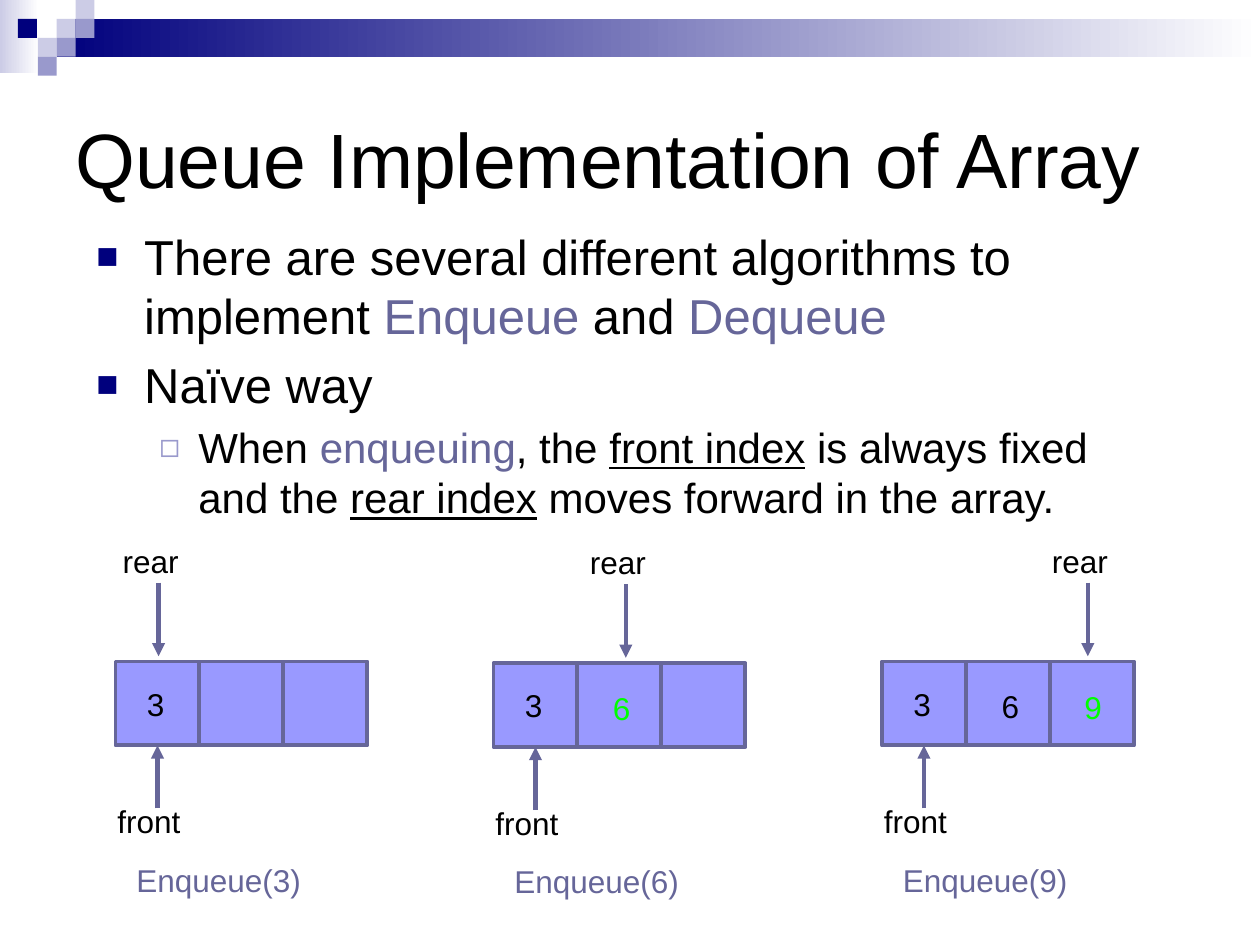
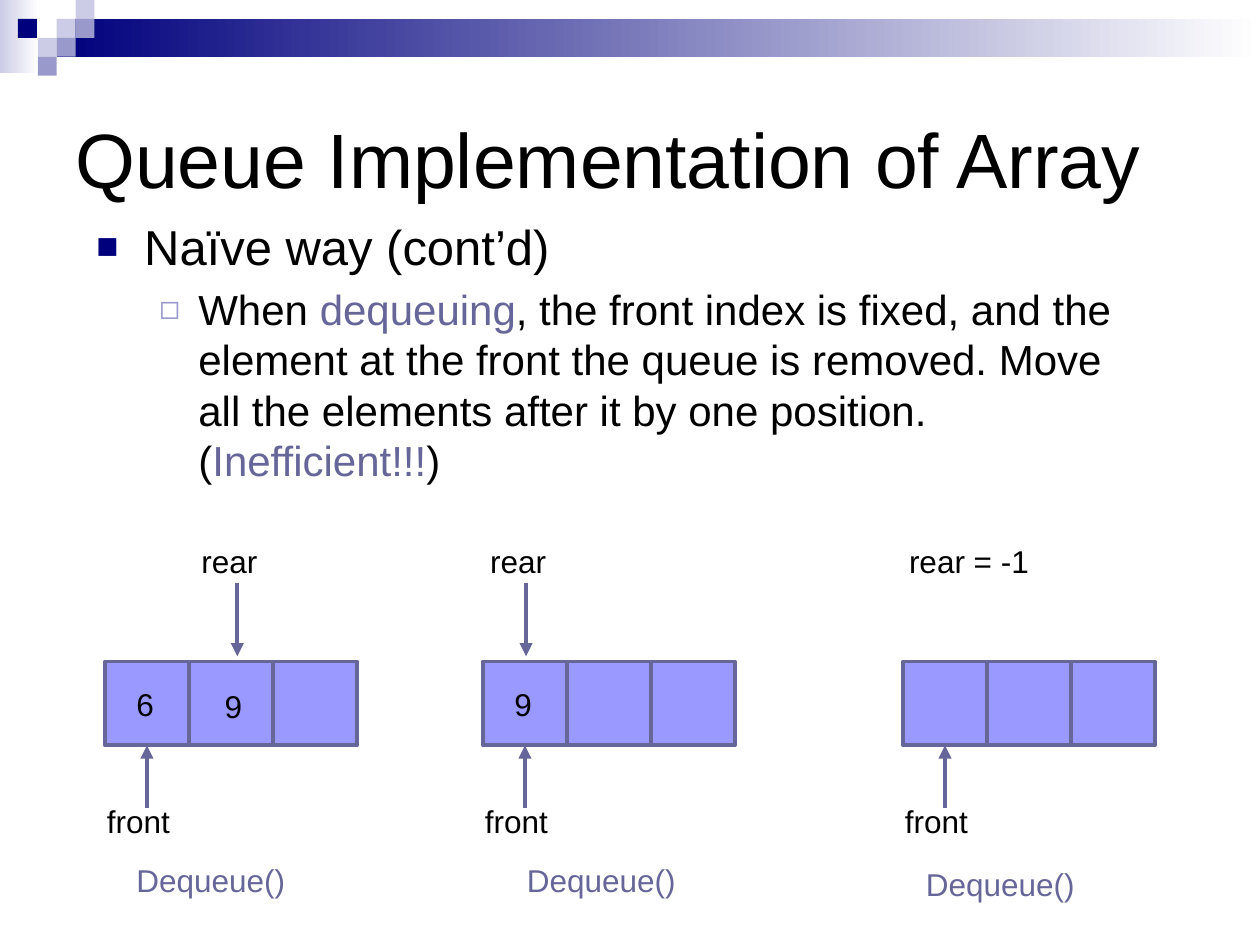
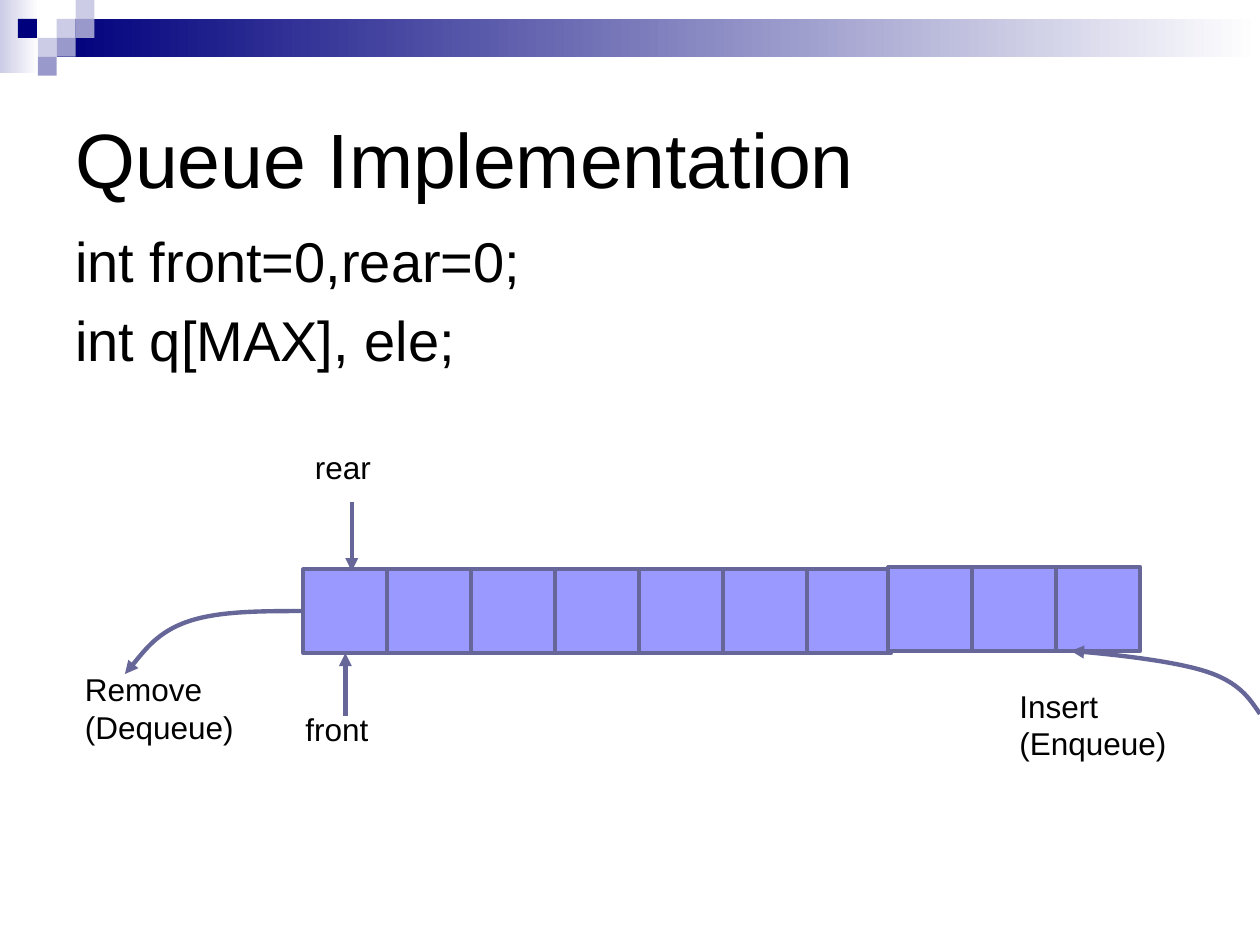
from dataclasses import dataclass

from lxml.etree import SubElement
from pptx import Presentation
from pptx.dml.color import RGBColor
from pptx.enum.shapes import MSO_CONNECTOR, MSO_SHAPE
from pptx.enum.text import MSO_ANCHOR
from pptx.oxml.ns import qn
from pptx.util import Emu, Inches, Pt

RECTANGLE = MSO_SHAPE.RECTANGLE
STRAIGHT = MSO_CONNECTOR.STRAIGHT
TOP, MIDDLE = MSO_ANCHOR.TOP, MSO_ANCHOR.MIDDLE
BOTTOM_SIDE = 2

# The slide is a grid of 120 columns by 90 rows; all lengths are in its units.
COLUMNS, ROWS = 120, 90
UNIT = Inches(10) / COLUMNS
CELL = 8
TILE = 1.8
LABEL_HEIGHT = 5.2

# Offsets by array column, from the left end of the array
DIGIT_OFFSETS = ((1.8, 1.6), (10.2, 1.85), (18.1, 1.9))
REAR_OFFSETS = (4.1, 12.6, 19.6)


@dataclass(frozen=True)
class Theme:
    font: str = "Arial"
    text: str = "000000"
    accent: str = "666699"
    fresh: str = "00FF00"
    cell: str = "9999FF"
    navy: str = "00007D"
    lilac: str = "9999CC"
    pale: str = "CCCCE6"
    white: str = "FFFFFF"
    title_size: int = 44
    code_size: int = 32
    point_size: int = 28
    detail_size: int = 24
    label_size: int = 18
    cell_line: float = 2.25
    arrow_line: float = 2.5


THEME = Theme()


def grid(*lengths):
    return [Emu(round(length * UNIT)) for length in lengths]


def rgb(color):
    return RGBColor.from_string(color)


def add_run(paragraph, text, size, color=THEME.text, underline=False):
    run = paragraph.add_run()
    run.text = text
    run.font.name = THEME.font
    run.font.size = Pt(size)
    run.font.color.rgb = rgb(color)
    if underline:
        run.font.underline = True


def add_frame(slide, box, anchor=TOP):
    frame = slide.shapes.add_textbox(*grid(*box)).text_frame
    frame.word_wrap = True
    frame.vertical_anchor = anchor
    return frame


def add_label(slide, left, top, text, width=13, color=THEME.text):
    lines = text.split("\n")
    frame = add_frame(slide, (left, top, width, LABEL_HEIGHT * len(lines)))
    paragraph = frame.paragraphs[0]
    for number, line in enumerate(lines):
        if number:
            paragraph.add_line_break()
        add_run(paragraph, line, THEME.label_size, color)


def add_block(slide, box, fill, fill_to=None, outline=None):
    """Draw a rectangle, plain or fading from fill to fill_to."""
    block = slide.shapes.add_shape(RECTANGLE, *grid(*box))
    block.shadow.inherit = False
    if fill_to:
        block.fill.gradient()
        block.fill.gradient_angle = 0
        for stop, position, color in zip(block.fill.gradient_stops, (0, 1), (fill, fill_to)):
            stop.position = position
            stop.color.rgb = rgb(color)
    else:
        block.fill.solid()
        block.fill.fore_color.rgb = rgb(fill)
    if outline:
        block.line.color.rgb = rgb(outline)
        block.line.width = Pt(THEME.cell_line)
    else:
        block.line.fill.background()
    return block


def style_arrow(arrow):
    arrow.line.color.rgb = rgb(THEME.accent)
    arrow.line.width = Pt(THEME.arrow_line)
    properties = arrow._element.spPr
    SubElement(properties.find(qn("a:ln")), qn("a:tailEnd"), type="triangle")
    if properties.find(qn("a:effectLst")) is None:
        SubElement(properties, qn("a:effectLst"))


def add_arrow(slide, x, start, end, target=None):
    """Draw a vertical arrow, joined to the bottom of target if there is one."""
    arrow = slide.shapes.add_connector(STRAIGHT, *grid(x, start, x, end))
    if target is not None:
        arrow.end_connect(target, BOTTOM_SIDE)
    style_arrow(arrow)


def add_curve(slide, left, top, points):
    """Draw a Bezier arrow: a start, then two controls and an end per segment."""
    start, *rest = [grid(left + x, top + y) for x, y in points]
    builder = slide.shapes.build_freeform(*start)
    builder.add_line_segments(rest, close=False)
    curve = builder.convert_to_shape()
    outline = next(curve._element.iter(qn("a:path")))
    steps = outline.findall(qn("a:lnTo"))
    for first in range(0, len(steps), 3):
        segment = SubElement(outline, qn("a:cubicBezTo"))
        for step in steps[first:first + 3]:
            segment.append(step[0])
            outline.remove(step)
    curve.fill.background()
    curve.shadow.inherit = False
    style_arrow(curve)


def draw_header(slide):
    add_block(slide, (0, 0, 3.7, 7), THEME.pale, THEME.white)
    band_left = 3 * TILE
    add_block(slide, (band_left, TILE, COLUMNS - band_left, 2 * TILE), THEME.navy, THEME.white)
    tiles = (
        (3, 1, THEME.pale), (4, 0, THEME.pale), (4, 1, THEME.lilac), (2, 2, THEME.pale),
        (0.95, 1, THEME.navy), (3, 2, THEME.lilac), (2, 3, THEME.lilac),
    )
    for column, row, color in tiles:
        add_block(slide, (column * TILE, row * TILE, TILE, TILE), color)


def start_slide(deck, title):
    slide = deck.slides.add_slide(deck.slide_layouts[6])
    draw_header(slide)
    frame = add_frame(slide, (6, 6, 108, 18), MIDDLE)
    add_run(frame.paragraphs[0], title, THEME.title_size)
    return slide


def set_bullet(paragraph, symbol, color, percent):
    properties = paragraph._p.get_or_add_pPr()
    SubElement(SubElement(properties, qn("a:buClr")), qn("a:srgbClr"), val=color)
    SubElement(properties, qn("a:buSzPct"), val=str(percent * 1000))
    SubElement(properties, qn("a:buFont"), typeface=THEME.font)
    SubElement(properties, qn("a:buChar"), char=symbol)


def write_body(slide, box, items):
    """Write (kind, runs) items; a run is (text, colour, underline), the last two optional."""
    kinds = {
        "code": (THEME.code_size, 0.38, 0.38, None),
        "point": (THEME.point_size, 0.38, 0.38, ("■", THEME.navy, 75)),
        "detail": (THEME.detail_size, 0.81, 0.31, ("◻", THEME.lilac, 80)),
    }
    frame = add_frame(slide, box)
    for number, (kind, runs) in enumerate(items):
        size, margin, hanging, bullet = kinds[kind]
        paragraph = frame.add_paragraph() if number else frame.paragraphs[0]
        paragraph.space_before = Pt(0.2 * size)
        properties = paragraph._p.get_or_add_pPr()
        properties.set("marL", str(Inches(margin)))
        properties.set("indent", str(-Inches(hanging)))
        if bullet:
            set_bullet(paragraph, *bullet)
        for text, *style in runs:
            add_run(paragraph, text, size, *style)


def draw_cells(slide, left, top, count):
    return [
        add_block(slide, (left + column * CELL, top, CELL, CELL), THEME.cell, outline=THEME.accent)
        for column in range(count)
    ]


def mark_front(slide, left, top, cell):
    add_label(slide, left - 1, top + 12.8, "front")
    add_arrow(slide, left + CELL / 2, top + 14, top + CELL, cell)


def draw_queue(slide, left, top, values, call, call_offset, rear=None, fresh=None):
    """Draw a three-cell queue; rear and fresh are columns of the array."""
    cells = draw_cells(slide, left, top, 3)
    mark_front(slide, left, top, cells[0])
    if rear is None:
        add_label(slide, left - 0.6, top - 12, "rear = -1", 15.6)
    else:
        x = left + REAR_OFFSETS[rear]
        add_label(slide, x - 4.6, top - 12, "rear")
        add_arrow(slide, x, top - 7.5, top - 0.5)
    for column, value in enumerate(values):
        dx, dy = DIGIT_OFFSETS[column]
        color = THEME.fresh if column == fresh else THEME.text
        add_label(slide, left + dx, top + dy, value, 4, color)
    dx, dy = call_offset
    add_label(slide, left + dx, top + dy, call, 23.2, THEME.accent)


def draw_long_queue(slide, left, top):
    cells = draw_cells(slide, left, top, 7)
    draw_cells(slide, left + 55.7, top - 0.2, 3)
    mark_front(slide, left, top, cells[0])
    add_label(slide, left - 0.1, top - 12.1, "rear", 9)
    add_arrow(slide, left + 4.6, top - 6.4, top + 0.2)
    add_curve(slide, left, top, (
        (0, 4), (-4.1, 4), (-8.1, 4), (-11, 5), (-13.9, 6), (-15.8, 8.6), (-17, 10)))
    add_curve(slide, left, top, (
        (91.1, 13.8), (90.1, 12.3), (89.1, 10.8), (86.1, 9.8), (83.1, 8.8), (76, 8), (73.1, 7.8)))
    add_label(slide, left + 67, top + 10.6, "Insert\n(Enqueue)", 21)
    add_label(slide, left - 22, top + 9, "Remove\n(Dequeue)", 21)


def build_enqueue_slide(deck):
    slide = start_slide(deck, "Queue Implementation of Array")
    write_body(slide, (8, 21, 103, 33), (
        ("point", (
            ("There are several different algorithms to implement ",),
            ("Enqueue", THEME.accent), (" and ",), ("Dequeue", THEME.accent))),
        ("point", (("Naïve way",),)),
        ("detail", (
            ("When ",), ("enqueuing", THEME.accent), (", the ",),
            ("front index", THEME.text, True), (" is always fixed and the ",),
            ("rear index", THEME.text, True), (" moves forward in the array.",))),
    ))
    values = "369"
    for column, (left, top) in enumerate(((11, 63), (47, 63.15), (84, 63))):
        fresh = column or None
        draw_queue(slide, left, top, values[:column + 1], f"Enqueue({values[column]})",
                   (0.8, 18.4), column, fresh)


def build_dequeue_slide(deck):
    slide = start_slide(deck, "Queue Implementation of Array")
    write_body(slide, (8, 20, 103, 30), (
        ("point", (("Naïve way (cont’d)",),)),
        ("detail", (
            ("When ",), ("dequeuing", THEME.accent),
            (", the front index is fixed, and the element at the front the queue is removed. "
             "Move all the elements after it by one position. (",),
            ("Inefficient!!!", THEME.accent), (")",))),
    ))
    queues = (
        (10, "69", (1.8, 18.4), 1),
        (46, "9", (3, 18.4), 0),
        (86, "", (1, 18.8), None),
    )
    for left, values, call_offset, rear in queues:
        draw_queue(slide, left, 63, values, "Dequeue()", call_offset, rear)


def build_declaration_slide(deck):
    slide = start_slide(deck, "Queue Implementation")
    write_body(slide, (6, 21, 108, 21), (
        ("code", (("int front=0,rear=0;",),)),
        ("code", (("int q[MAX], ele;",),)),
    ))
    draw_long_queue(slide, 28.9, 54.2)


def main():
    deck = Presentation()
    deck.slide_width, deck.slide_height = grid(COLUMNS, ROWS)
    build_enqueue_slide(deck)
    build_dequeue_slide(deck)
    build_declaration_slide(deck)
    deck.save("out.pptx")


if __name__ == "__main__":
    main()
